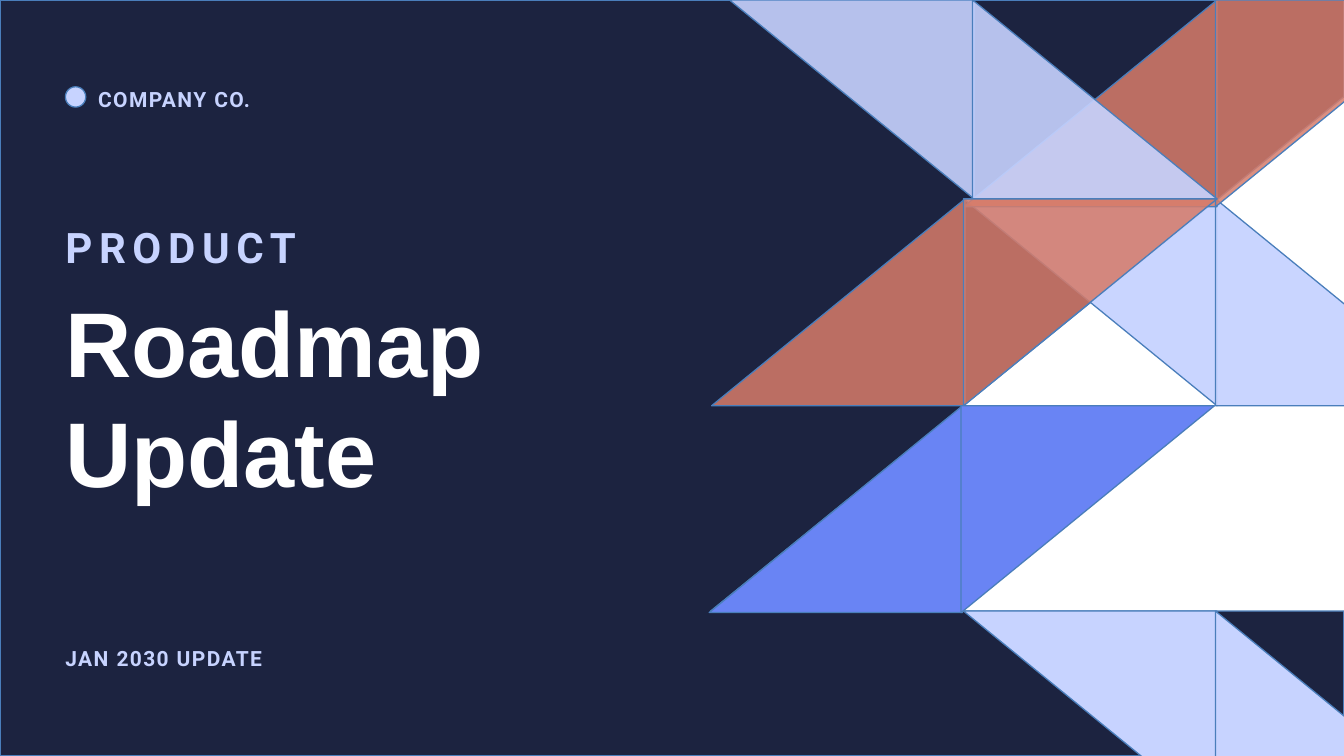
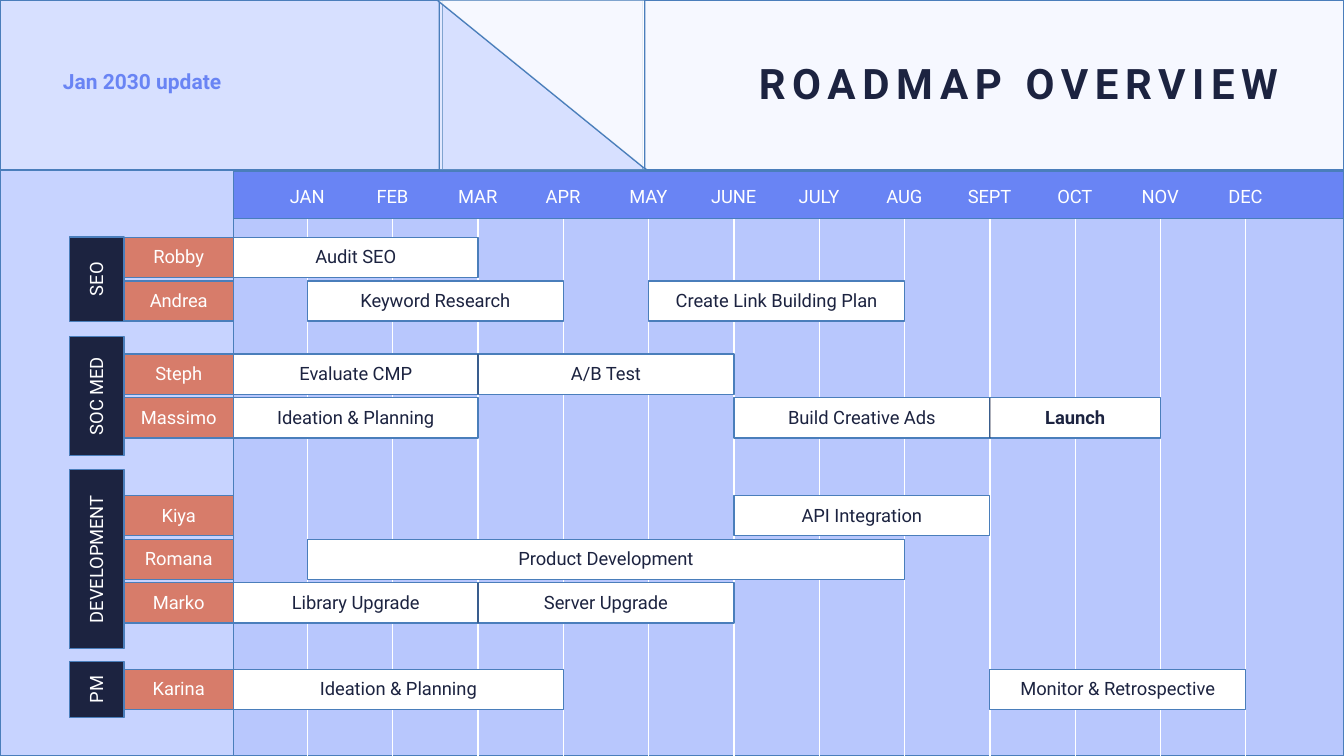
from lxml.etree import SubElement
from pptx import Presentation
from pptx.dml.color import RGBColor
from pptx.enum.shapes import MSO_CONNECTOR, MSO_SHAPE
from pptx.enum.text import MSO_ANCHOR, PP_ALIGN
from pptx.oxml.ns import qn
from pptx.util import Cm, Pt

NAVY = RGBColor(0x1C, 0x23, 0x40)
BLUE = RGBColor(0x69, 0x84, 0xF4)
PALE = RGBColor(0xC7, 0xD3, 0xFF)
CORAL = RGBColor(0xD7, 0x7C, 0x6A)
WHITE = RGBColor(0xFF, 0xFF, 0xFF)
LEFT, CENTER, RIGHT = PP_ALIGN.LEFT, PP_ALIGN.CENTER, PP_ALIGN.RIGHT
PAGE_WIDTH, PAGE_HEIGHT = 27.1, 15.24
LABEL_SIZE = 10.5


def paint(item, fill, colour, opacity=100):
    fill.solid()
    fill.fore_color.rgb = colour
    if opacity < 100:
        tint = item.element.spPr.xpath(".//a:srgbClr")[0]
        SubElement(tint, qn("a:alpha")).set("val", str(opacity * 1000))
    if fill is not item.line.fill:
        if item.element.spPr.find(qn("a:ln")) is None:
            item.line.fill.background()
    SubElement(item.element.spPr, qn("a:effectLst"))


def write(frame, lines, size, colour, align=CENTER, bold=False, tracking=0,
          font="Roboto", leading=1.1, inset=0):
    frame.word_wrap = True
    frame.margin_left = frame.margin_right = frame.margin_bottom = 0
    frame.margin_top = Cm(inset)
    for number, line in enumerate(lines):
        para = frame.add_paragraph() if number else frame.paragraphs[0]
        para.alignment = align
        para.line_spacing = Pt(size * leading)
        span = para.add_run()
        span.text = line
        span.font.name = font
        span.font.size = Pt(size)
        span.font.bold = bold
        span.font.color.rgb = colour
        if tracking:
            span._r.get_or_add_rPr().set("spc", str(int(tracking * 100)))


deck = Presentation()
deck.slide_width = Cm(PAGE_WIDTH)
deck.slide_height = Cm(PAGE_HEIGHT)
cover = deck.slides.add_slide(deck.slide_layouts[6])
roadmap = deck.slides.add_slide(deck.slide_layouts[6])

panel_left = 4.71
panel_width = PAGE_WIDTH - panel_left
header_height = 3.43
panels = [
    (cover, 0, 0, PAGE_WIDTH, PAGE_HEIGHT, NAVY, 100),
    (roadmap, 0, 0, PAGE_WIDTH, PAGE_HEIGHT, PALE, 100),
    (roadmap, 0, 0, 8.92, header_height, WHITE, 30),
    (roadmap, 12.95, 0, PAGE_WIDTH - 12.95, header_height, WHITE, 85),
    (roadmap, panel_left, 3.43, panel_width, PAGE_HEIGHT - 3.43, BLUE, 15),
    (roadmap, panel_left, 3.45, panel_width, 0.95, BLUE, 100),
]
for page, left, top, width, height, colour, opacity in panels:
    panel = page.shapes.add_shape(MSO_SHAPE.RECTANGLE, Cm(left), Cm(top), Cm(width), Cm(height))
    paint(panel, panel.fill, colour, opacity)

triangles = [
    (cover, 14.33, 1.12, 13.79, 11.2, "bottom right", WHITE, 100),
    (roadmap, 8.86, 0.03, 4.19, 3.4, "bottom left", WHITE, 30),
    (roadmap, 8.81, 0, 4.19, 3.4, "top right", WHITE, 85),
]
falling = ("top right", "bottom left")
rising = ("bottom right", "top left")
ribbons = [
    (19.43, 4.01, 5.11, 4.17, falling, PALE, 95),
    (19.43, 0, 5.11, 4.17, rising, CORAL, 85),
    (14.71, 0, 4.93, 4.01, falling, PALE, 90),
    (14.35, 4.01, 5.11, 4.17, rising, CORAL, 85),
    (14.3, 8.18, 5.11, 4.17, rising, BLUE, 100),
    (19.43, 12.32, 5.11, 4.17, falling, PALE, 100),
]
for left, top, width, height, halves, colour, opacity in ribbons:
    for number, corner in enumerate(halves):
        half_left = left + number * (width - 0.03)
        triangles.append((cover, half_left, top, width, height, corner, colour, opacity))

opposite = {"top left": "bottom right", "bottom right": "top left",
            "top right": "bottom left", "bottom left": "top right"}
for page, left, top, width, height, corner, colour, opacity in triangles:
    corners = {
        "top left": (Cm(left), Cm(top)),
        "top right": (Cm(left + width), Cm(top)),
        "bottom right": (Cm(left + width), Cm(top + height)),
        "bottom left": (Cm(left), Cm(top + height)),
    }
    del corners[opposite[corner]]
    start, *others = corners.values()
    builder = page.shapes.build_freeform(*start)
    builder.add_line_segments(others, close=True)
    triangle = builder.convert_to_shape()
    paint(triangle, triangle.fill, colour, opacity)

dot = cover.shapes.add_shape(MSO_SHAPE.OVAL, Cm(1.32), Cm(1.75), Cm(0.41), Cm(0.41))
paint(dot, dot.fill, PALE)

title = cover.shapes.add_textbox(Cm(1.32), Cm(5.56), Cm(15.42), Cm(4.45))
write(title.text_frame, ["Roadmap", "Update"], 52.5, WHITE, LEFT, True,
      font="Arial", leading=1.2, inset=0.2)

headings = [
    (cover, "PRODUCT", 1.32, 4.45, 6.2, 24, PALE, LEFT, 3.8),
    (cover, "JAN 2030 UPDATE", 1.32, 13, 11.25, 12, PALE, LEFT, 0.8),
    (cover, "COMPANY CO.", 1.98, 1.73, 5.84, 12, PALE, LEFT, 0.8),
    (roadmap, "ROADMAP OVERVIEW", 13.13, 1.14, 12.65, 24, NAVY, RIGHT, 3.8),
    (roadmap, "Jan 2030 update", 1.27, 1.37, 7.9, 12, BLUE, LEFT, 0),
]
for page, text, left, top, width, size, colour, align, tracking in headings:
    box = page.shapes.add_textbox(Cm(left), Cm(top), Cm(width), Cm(size * 0.04))
    write(box.text_frame, [text], size, colour, align, True, tracking, inset=size * 0.004)

months = ["JAN", "FEB", "MAR", "APR", "MAY", "JUNE",
          "JULY", "AUG", "SEPT", "OCT", "NOV", "DEC"]
edges = [panel_left] + [6.2 + 1.72 * number for number in range(len(months))]
for month, center in zip(months, edges[1:]):
    box = roadmap.shapes.add_textbox(Cm(center - 0.64), Cm(3.73), Cm(1.27), Cm(0.41))
    write(box.text_frame, [month], LABEL_SIZE, WHITE, inset=0.04)
    gridline = roadmap.shapes.add_connector(
        MSO_CONNECTOR.STRAIGHT, Cm(center), Cm(4.42), Cm(center), Cm(PAGE_HEIGHT))
    gridline.line.width = Pt(0.75)
    paint(gridline, gridline.line.fill, WHITE)

row_height, row_step = 0.81, 0.88
team_left, name_left = 1.4, 2.5
teams = [
    ("SEO", 4.78, 1.7, [
        ("Robby", [("Audit SEO", 0, 3)]),
        ("Andrea", [("Keyword Research", 1, 4), ("Create Link Building Plan", 5, 8)]),
    ]),
    ("SOC MED", 6.78, 2.41, [
        ("Steph", [("Evaluate CMP", 0, 3), ("A/B Test", 3, 6)]),
        ("Massimo", [("Ideation & Planning", 0, 3), ("Build Creative Ads", 6, 9),
                     ("Launch", 9, 11)]),
    ]),
    ("DEVELOPMENT", 9.47, 3.61, [
        ("Kiya", [("API Integration", 6, 9)]),
        ("Romana", [("Product Development", 1, 8)]),
        ("Marko", [("Library Upgrade", 0, 3), ("Server Upgrade", 3, 6)]),
    ]),
    ("PM", 13.34, 1.12, [
        ("Karina", [("Ideation & Planning", 0, 4), ("Monitor & Retrospective", 9, 12)]),
    ]),
]
for team, team_top, team_height, people in teams:
    blocks = [(team, team_left, team_top, name_left - team_left, team_height, NAVY, WHITE)]
    dividers = []
    rows_height = (len(people) - 1) * row_step + row_height
    row_top = team_top + (team_height - rows_height) / 2
    for name, tasks in people:
        blocks.append((name, name_left, row_top, panel_left - name_left, row_height, CORAL, WHITE))
        previous_end = None
        for task, start, end in tasks:
            width = edges[end] - edges[start]
            blocks.append((task, edges[start], row_top, width, row_height, WHITE, NAVY))
            if start == previous_end:
                dividers.append((edges[start], row_top))
            previous_end = end
        row_top += row_step

    for text, left, top, width, height, colour, ink in blocks:
        block = roadmap.shapes.add_shape(
            MSO_SHAPE.RECTANGLE, Cm(left), Cm(top), Cm(width), Cm(height))
        paint(block, block.fill, colour)
        block.text_frame.vertical_anchor = MSO_ANCHOR.MIDDLE
        write(block.text_frame, [text], LABEL_SIZE, ink, bold=text == "Launch")
        if text == team:
            block.element.txBody.bodyPr.set("vert", "vert270")

    for x, top in dividers:
        divider = roadmap.shapes.add_connector(
            MSO_CONNECTOR.STRAIGHT, Cm(x), Cm(top), Cm(x), Cm(top + row_height))
        divider.line.width = Pt(0.75)
        paint(divider, divider.line.fill, NAVY, 55)

deck.save("out.pptx")
